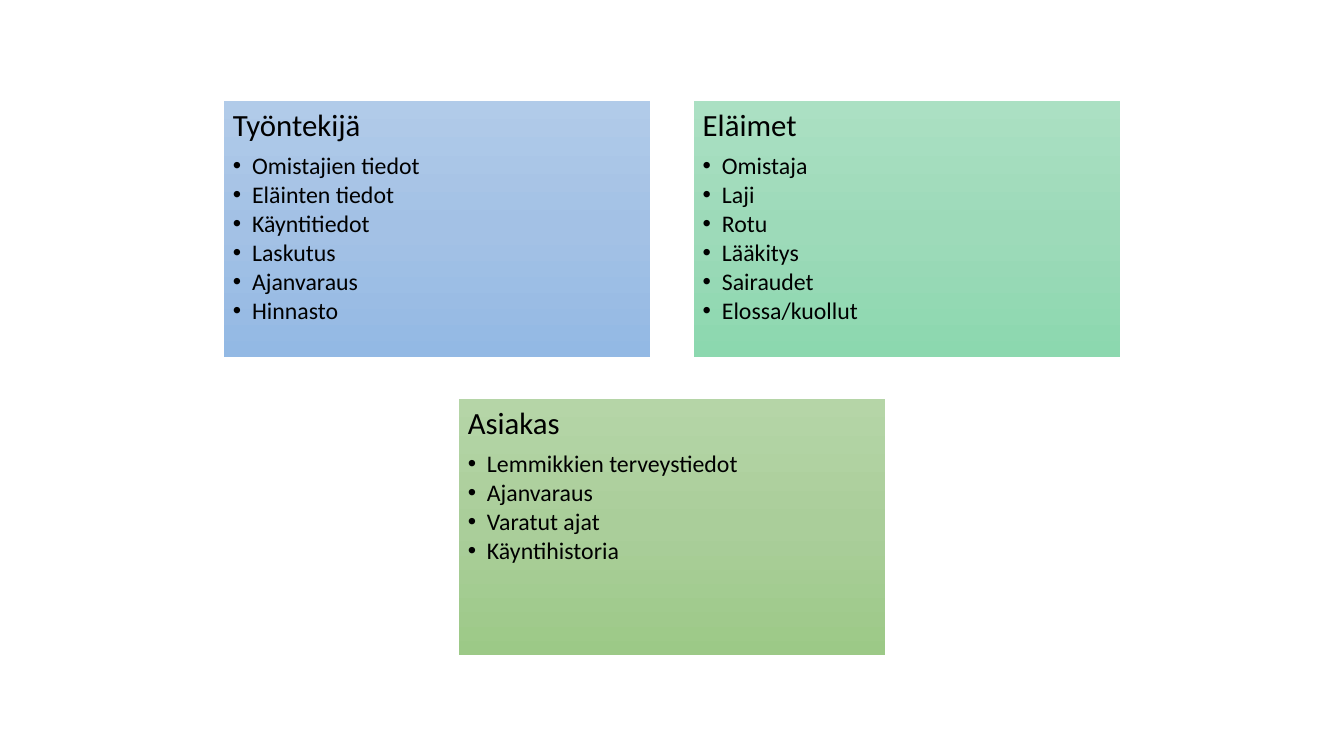
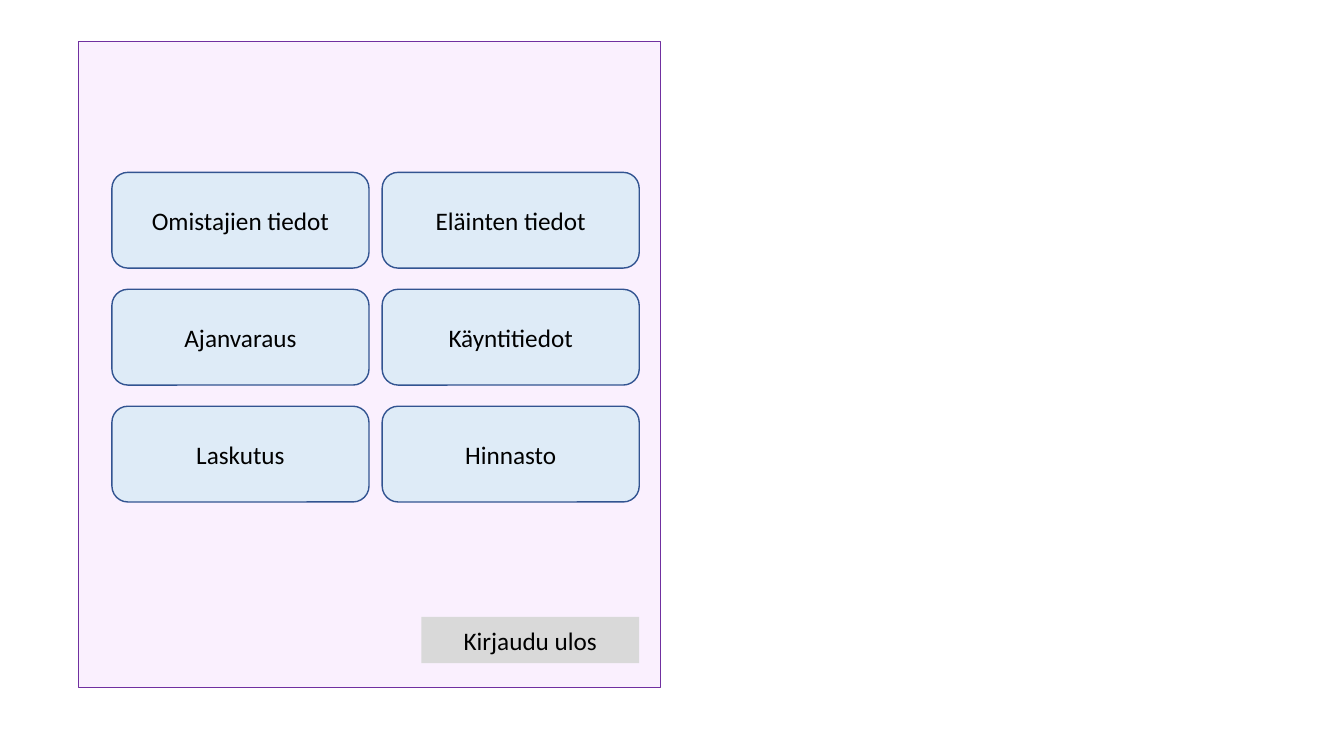
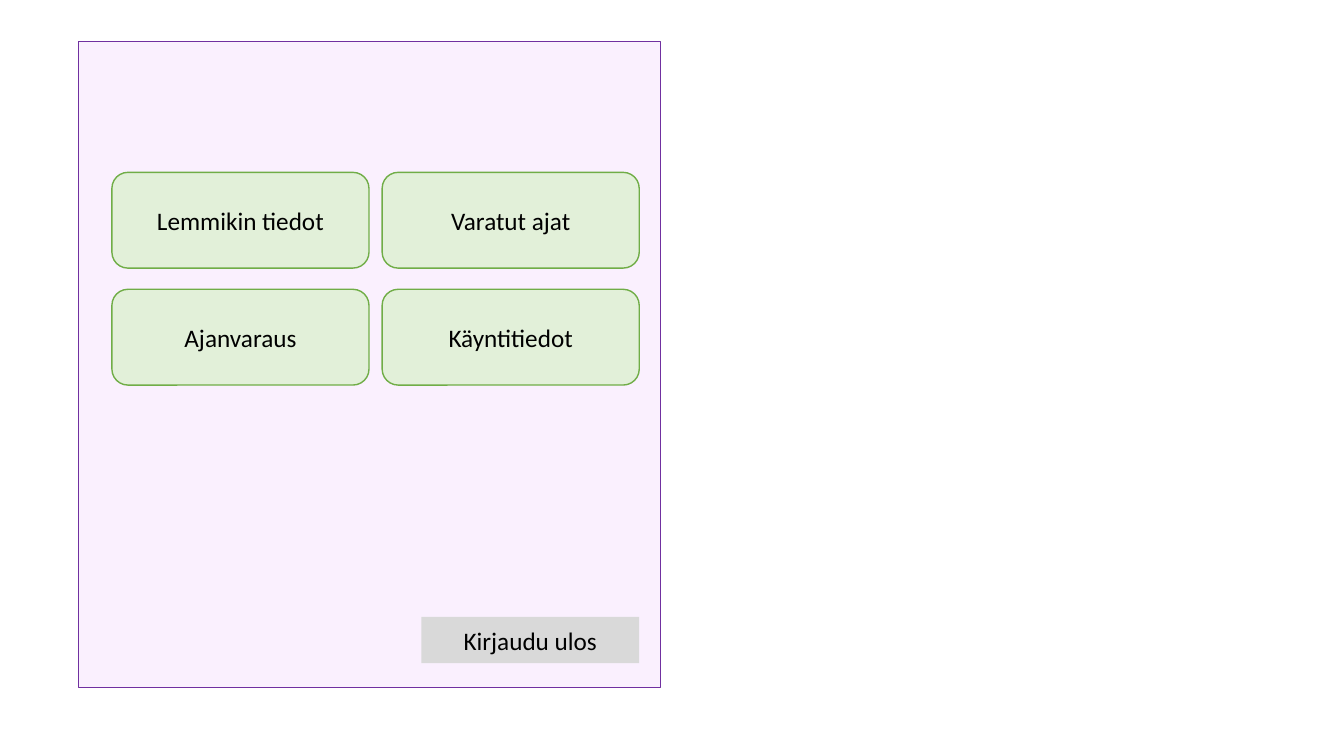
from copy import deepcopy
from dataclasses import dataclass

from lxml import etree
from pptx import Presentation
from pptx.dml.color import RGBColor
from pptx.enum import shapes, text
from pptx.oxml.ns import qn
from pptx.util import Inches, Pt


# Colours and type sizes shared by all slides
@dataclass(frozen=True)
class Theme:
    font: str = "Calibri"
    ink: str = "000000"
    panel: str = "FAF0FE"
    panel_line: str = "7030A0"
    logout: str = "D9D9D9"
    staff: tuple = ("DEEBF7", "325491")
    client: tuple = ("E2F0D9", "70AD47")
    blue: tuple = ("B1CBE9", "A3C1E5", "93B9E4")
    mint: tuple = ("ABE0C3", "9DDAB9", "8CD8AF")
    green: tuple = ("B5D5A7", "AACE9A", "9CC987")
    heading_size: float = 22
    item_size: float = 17
    button_size: float = 18


THEME = Theme()
RECT = shapes.MSO_SHAPE.RECTANGLE
ROUNDED = shapes.MSO_SHAPE.ROUNDED_RECTANGLE


def add_box(slide, kind, left, top, width, height, fill=None, line=None):
    box = slide.shapes.add_shape(
        kind, Inches(left), Inches(top), Inches(width), Inches(height))
    box.shadow.inherit = False
    if fill:
        box.fill.solid()
        box.fill.fore_color.rgb = RGBColor.from_string(fill)
    if line:
        box.line.color.rgb = RGBColor.from_string(line)
        box.line.width = Pt(1)
    else:
        box.line.fill.background()
    return box


def fill_gradient(box, colours):
    """Fill from top to bottom with three evenly spaced colours."""
    box.fill.gradient()
    box.fill.gradient_angle = 270
    stop_list = box._element.spPr.find(".//" + qn("a:gsLst"))
    stop_list.insert(1, deepcopy(stop_list[0]))
    for index, (stop, colour) in enumerate(zip(box.fill.gradient_stops, colours)):
        stop.position = index / 2
        stop.color.rgb = RGBColor.from_string(colour)


def write(paragraph, words, size, align=text.PP_ALIGN.LEFT, spacing=None,
          after=0, bullet=False):
    paragraph.alignment = align
    paragraph.line_spacing = spacing
    paragraph.space_after = Pt(after)
    run = paragraph.add_run()
    run.text = words
    run.font.name = THEME.font
    run.font.size = Pt(size)
    run.font.color.rgb = RGBColor.from_string(THEME.ink)
    if bullet:
        properties = paragraph._p.get_or_add_pPr()
        properties.set("marL", str(Inches(0.19)))
        properties.set("indent", str(-Inches(0.19)))
        etree.SubElement(properties, qn("a:buFont"), typeface="Arial")
        etree.SubElement(properties, qn("a:buChar"), char="•")


def add_card(slide, column, row, heading, items, colours):
    card = add_box(slide, RECT, 2.22 + 4.66 * column, 1 + 2.96 * row, 4.23, 2.54)
    fill_gradient(card, colours)
    frame = card.text_frame
    frame.word_wrap = True
    frame.vertical_anchor = text.MSO_ANCHOR.TOP
    frame.margin_left = frame.margin_right = Inches(0.09)
    frame.margin_top = frame.margin_bottom = Inches(0.09)
    write(frame.paragraphs[0], heading, THEME.heading_size, spacing=0.9, after=7.7)
    for item in items:
        write(frame.add_paragraph(), item, THEME.item_size,
              spacing=0.9, after=2.3, bullet=True)


def add_button(slide, label, kind, *place, fill, line=None):
    button = add_box(slide, kind, *place, fill=fill, line=line)
    button.text_frame.word_wrap = True
    button.text_frame.vertical_anchor = text.MSO_ANCHOR.MIDDLE
    write(button.text_frame.paragraphs[0], label, THEME.button_size,
          align=text.PP_ALIGN.CENTER)


def add_menu(slide, labels, colours):
    """Draw a screen panel with a two-column button grid and a logout button."""
    add_box(slide, RECT, 0.78, 0.41, 5.77, 6.41, THEME.panel, THEME.panel_line)
    fill, line = colours
    for index, label in enumerate(labels):
        row, column = divmod(index, 2)
        add_button(slide, label, ROUNDED, 1.11 + 2.68 * column, 1.71 + 1.16 * row,
                   2.55, 0.95, fill=fill, line=line)
    add_button(slide, "Kirjaudu ulos", RECT, 4.18, 6.12, 2.16, 0.46,
               fill=THEME.logout)


def main():
    deck = Presentation()
    deck.slide_width, deck.slide_height = Inches(13.33), Inches(7.5)
    blank = deck.slide_layouts[6]

    # Information by user group
    overview = deck.slides.add_slide(blank)
    add_card(overview, 0, 0, "Työntekijä",
             ["Omistajien tiedot", "Eläinten tiedot", "Käyntitiedot",
              "Laskutus", "Ajanvaraus", "Hinnasto"], THEME.blue)
    add_card(overview, 1, 0, "Eläimet",
             ["Omistaja", "Laji", "Rotu", "Lääkitys", "Sairaudet",
              "Elossa/kuollut"], THEME.mint)
    add_card(overview, 0.5, 1, "Asiakas",
             ["Lemmikkien terveystiedot", "Ajanvaraus", "Varatut ajat",
              "Käyntihistoria"], THEME.green)

    # Staff menu
    add_menu(deck.slides.add_slide(blank),
             ["Omistajien tiedot", "Eläinten tiedot", "Ajanvaraus",
              "Käyntitiedot", "Laskutus", "Hinnasto"], THEME.staff)

    # Client menu
    add_menu(deck.slides.add_slide(blank),
             ["Lemmikin tiedot", "Varatut ajat", "Ajanvaraus", "Käyntitiedot"],
             THEME.client)

    deck.save("out.pptx")


if __name__ == "__main__":
    main()
